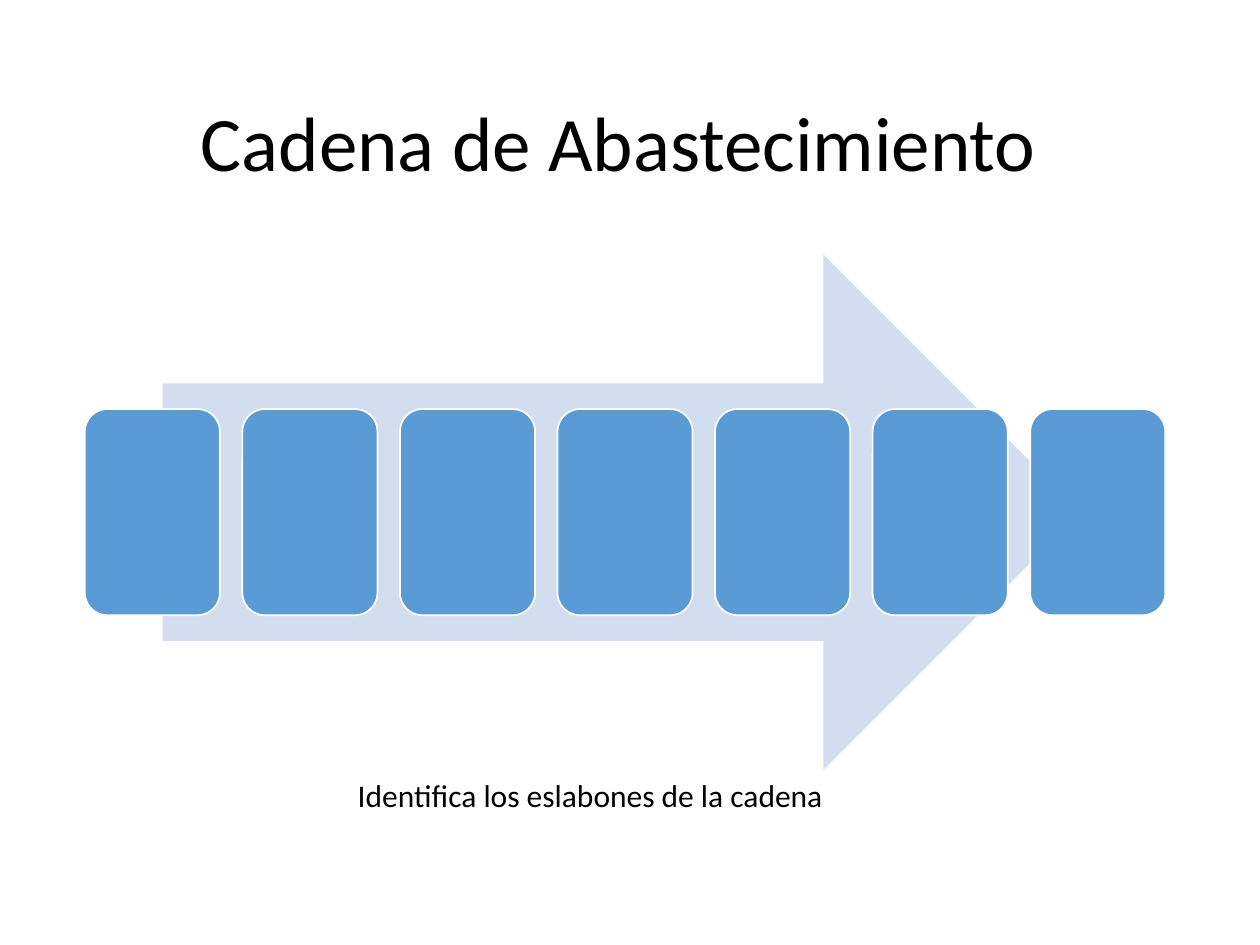
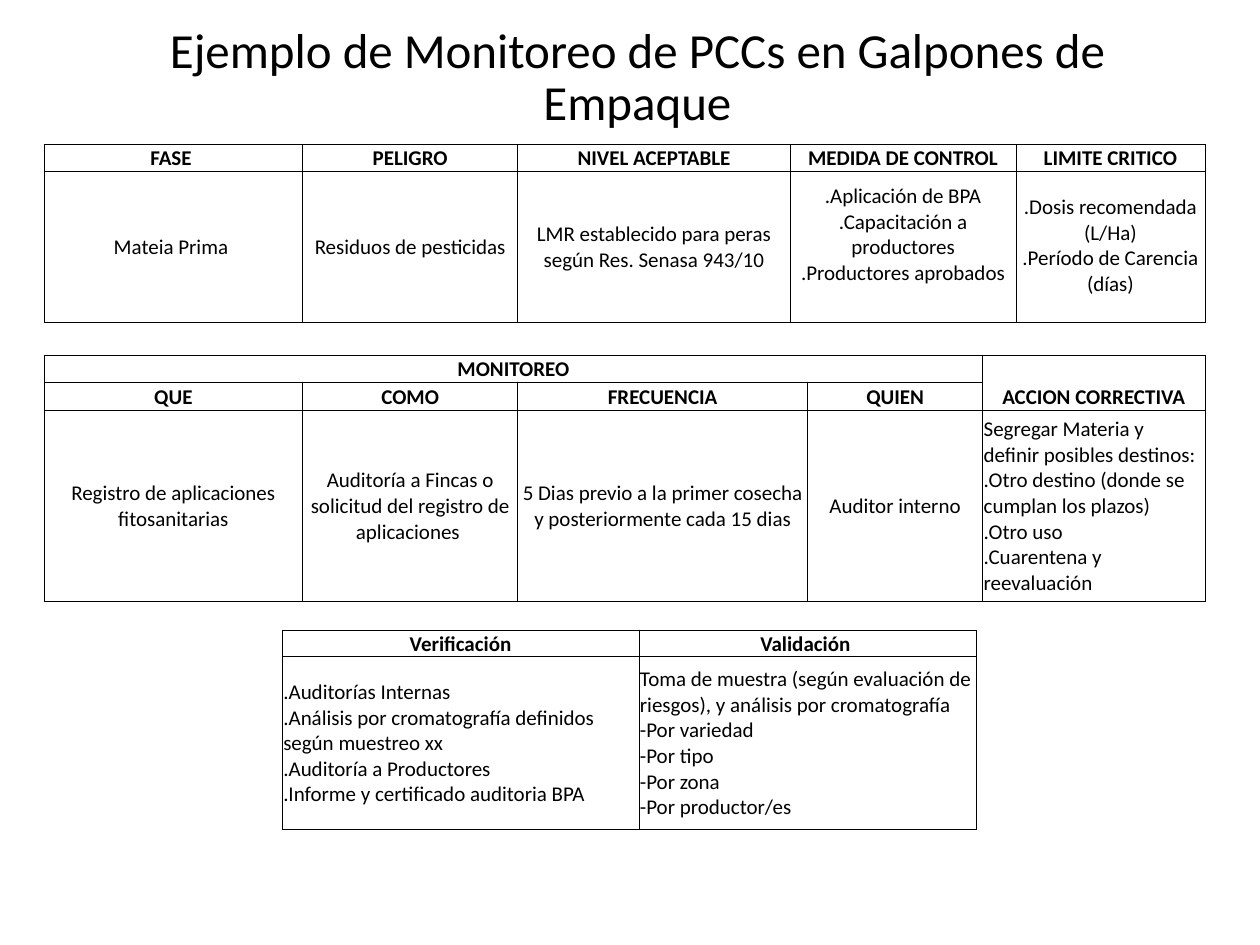
from lxml.etree import SubElement
from pptx import Presentation
from pptx.dml.color import RGBColor
from pptx.enum.shapes import MSO_SHAPE
from pptx.enum.text import MSO_ANCHOR, MSO_AUTO_SIZE, PP_ALIGN
from pptx.oxml.ns import qn
from pptx.util import Cm, Pt

# Shared look
FONT = "Calibri"
BLACK = RGBColor(0x00, 0x00, 0x00)
WHITE = RGBColor(0xFF, 0xFF, 0xFF)
LINK_BLUE = RGBColor(0x5B, 0x9B, 0xD5)
ARROW_BLUE = RGBColor(0xD2, 0xDE, 0xEF)
TITLE_ONLY = 5
CELL_MARGIN = Cm(0.02)
TEXT_LINE = Cm(0.52)


def write_text(text_frame, text, size=12, bold=False, align=PP_ALIGN.CENTER,
               anchor=MSO_ANCHOR.TOP, line_spacing=None):
    """Fill a text frame, one paragraph per line of text."""
    text_frame.text = text
    text_frame.word_wrap = True
    text_frame.vertical_anchor = anchor
    for paragraph in text_frame.paragraphs:
        paragraph.alignment = align
        paragraph.line_spacing = line_spacing
        for run in paragraph.runs:
            run.font.name = FONT
            run.font.size = Pt(size)
            run.font.bold = bold
            run.font.color.rgb = BLACK


def add_titled_slide(presentation, title, box, size):
    slide = presentation.slides.add_slide(presentation.slide_layouts[TITLE_ONLY])
    placeholder = slide.shapes.title
    placeholder.left, placeholder.top, placeholder.width, placeholder.height = box
    write_text(placeholder.text_frame, title, size=size,
               anchor=MSO_ANCHOR.MIDDLE, line_spacing=0.9)
    placeholder.text_frame.auto_size = MSO_AUTO_SIZE.NONE
    return slide


def add_filled_shape(shapes, kind, box, fill, line=None):
    shape = shapes.add_shape(kind, *(int(length) for length in box))
    shape.shadow.inherit = False
    shape.fill.solid()
    shape.fill.fore_color.rgb = fill
    if line is None:
        shape.line.fill.background()
    else:
        shape.line.color.rgb = line
        shape.line.width = Pt(1)
    return shape


def add_chain(slide, box, link_count):
    """Wide arrow with a row of empty links across it."""
    left, top, width, height = box
    shapes = slide.shapes.add_group_shape().shapes
    add_filled_shape(shapes, MSO_SHAPE.RIGHT_ARROW,
                     (left + 0.072 * width, top, 0.85 * width, height), ARROW_BLUE)
    # The gap between links is a sixth of a link
    link_width = width / (link_count + (link_count - 1) / 6)
    for index in range(link_count):
        link_left = left + index * link_width * 7 / 6
        add_filled_shape(shapes, MSO_SHAPE.ROUNDED_RECTANGLE,
                         (link_left, top + 0.3 * height, link_width, 0.4 * height),
                         LINK_BLUE, WHITE)


def set_borders(cell):
    properties = cell._tc.get_or_add_tcPr()
    for side in ("a:lnL", "a:lnR", "a:lnT", "a:lnB"):
        line = SubElement(properties, qn(side), w=str(Pt(0.5)))
        solid_fill = SubElement(line, qn("a:solidFill"))
        SubElement(solid_fill, qn("a:srgbClr"), val=str(BLACK))


def add_grid(slide, left, top, column_widths, row_heights, rows,
             merges=(), formats=None, bottom_margins=None):
    """Ruled table whose last row is the body and the others headings."""
    formats = formats or {}
    bottom_margins = bottom_margins or {}
    frame = slide.shapes.add_table(len(row_heights), len(column_widths), left, top,
                                   Cm(sum(column_widths)), Cm(sum(row_heights)))
    table = frame.table
    table.first_row = table.horz_banding = False
    for column, width in zip(table.columns, column_widths):
        column.width = Cm(width)
    for row, height in zip(table.rows, row_heights):
        row.height = Cm(height)

    for row_index, texts in enumerate(rows):
        heading = row_index < len(rows) - 1
        for column_index, text in enumerate(texts):
            place = (row_index, column_index)
            cell = table.cell(*place)
            set_borders(cell)
            cell.fill.background()
            cell.margin_left = cell.margin_right = cell.margin_top = CELL_MARGIN
            cell.margin_bottom = bottom_margins.get(place, 0)
            text_format = {"bold": heading, **formats.get(place, {})}
            write_text(cell.text_frame, text, **text_format)
            cell.vertical_anchor = text_format.get(
                "anchor", MSO_ANCHOR.BOTTOM if heading else MSO_ANCHOR.MIDDLE)
    for first, last in merges:
        table.cell(*first).merge(table.cell(*last))


def build_chain_slide(presentation):
    slide = add_titled_slide(presentation, "Cadena de Abastecimiento ",
                             (Cm(1.7), Cm(1.12), Cm(21.9), Cm(3.68)), 44)
    add_chain(slide, (Cm(1.71), Cm(5.13), Cm(21.78), Cm(10.39)), 7)
    caption = slide.shapes.add_textbox(Cm(3.5), Cm(15.52), Cm(16.8), Cm(1.02))
    write_text(caption.text_frame, "Identifica los eslabones de la cadena", size=18)


def build_monitoring_slide(presentation):
    slide = add_titled_slide(presentation,
                             "Ejemplo de Monitoreo de PCCs en Galpones de Empaque",
                             (Cm(1.9), Cm(0.53), Cm(21.9), Cm(2.11)), 28)
    left_aligned = {"align": PP_ALIGN.LEFT}

    # Hazards and limits
    add_grid(slide, Cm(0.89), Cm(2.92), (5.21, 4.34, 5.49, 4.55, 3.81), (0.53, 3.05),
             [("FASE ", "PELIGRO", "NIVEL ACEPTABLE", "MEDIDA DE CONTROL",
               "LIMITE CRITICO"),
              ("Mateia Prima ", "Residuos de pesticidas",
               "LMR establecido para peras según Res. Senasa 943/10",
               ".Aplicación de BPA\n.Capacitación a productores\n"
               ".Productores aprobados",
               ".Dosis recomendada (L/Ha)\n.Período de Carencia (días)")],
             formats={(1, 4): {"anchor": MSO_ANCHOR.BOTTOM}},
             bottom_margins={(1, 3): TEXT_LINE, (1, 4): TEXT_LINE})

    # Monitoring and corrective action
    add_grid(slide, Cm(0.89), Cm(7.16), (5.21, 4.34, 5.84, 3.53, 4.48),
             (0.54, 0.57, 3.86),
             [("MONITOREO", "", "", "", "ACCION CORRECTIVA"),
              ("QUE", "COMO", "FRECUENCIA", "QUIEN", ""),
              ("Registro de aplicaciones fitosanitarias",
               "Auditoría a Fincas o solicitud del registro de aplicaciones ",
               "5 Dias previo a la primer cosecha y posteriormente cada 15 dias",
               "Auditor interno",
               "Segregar Materia y definir posibles destinos:\n"
               ".Otro destino (donde se cumplan los plazos)\n"
               ".Otro uso\n.Cuarentena y reevaluación")],
             merges=[((0, 0), (0, 3)), ((0, 4), (1, 4))],
             formats={(2, 4): left_aligned})

    # Verification and validation
    add_grid(slide, Cm(5.69), Cm(12.7), (7.19, 6.81), (0.54, 3.48),
             [("Verificación", "Validación "),
              (".Auditorías Internas\n"
               ".Análisis por cromatografía definidos según muestreo xx\n"
               ".Auditoría a Productores\n.Informe y certificado auditoria BPA",
               "Toma de muestra (según evaluación de riesgos), y análisis por "
               "cromatografía\n-Por variedad\n-Por tipo\n-Por zona\n"
               "-Por productor/es")],
             formats={(1, 0): left_aligned, (1, 1): left_aligned})


def main():
    presentation = Presentation()
    presentation.slide_width = Cm(25.4)
    presentation.slide_height = Cm(19.05)
    build_chain_slide(presentation)
    build_monitoring_slide(presentation)
    presentation.save("out.pptx")


if __name__ == "__main__":
    main()
